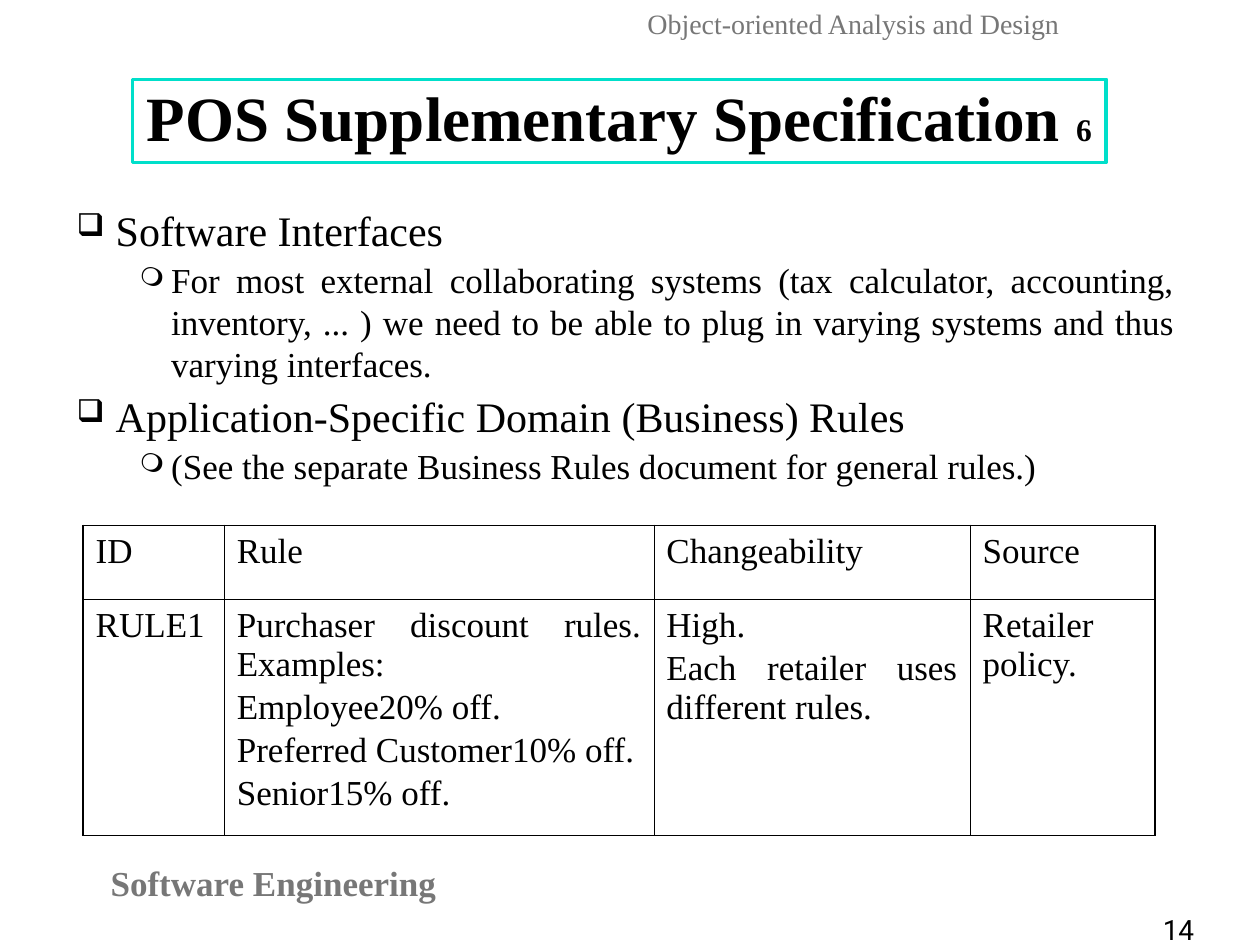
from lxml.etree import SubElement
from pptx import Presentation
from pptx.dml.color import RGBColor
from pptx.enum.text import MSO_ANCHOR, MSO_AUTO_SIZE, PP_ALIGN
from pptx.oxml.ns import qn
from pptx.util import Inches, Pt

BLACK = RGBColor(0x00, 0x00, 0x00)
WHITE = RGBColor(0xFF, 0xFF, 0xFF)
GRAY = RGBColor(0x77, 0x77, 0x77)
TEAL = RGBColor(0x00, 0xDF, 0xCA)
SERIF = "Times New Roman"

OUTER_LINE, INNER_LINE = Pt(1.08), Pt(0.45)

# (level, text)
OUTLINE = [
    (0, "Software Interfaces"),
    (1, "For most external collaborating systems (tax calculator, accounting, "
        "inventory, ... ) we need to be able to plug in varying systems and thus "
        "varying interfaces."),
    (0, "Application-Specific Domain (Business) Rules"),
    (1, "(See the separate Business Rules document for general rules.)"),
]
# level: (bullet, left margin, hanging indent, font size, space before)
LEVEL_STYLES = {
    0: ("❑", Inches(0.31), Inches(0.31), 24, 3),
    1: ("❍", Inches(0.75), Inches(0.25), 20, 2.5),
}

COLUMN_WIDTHS = [1.12, 3.41, 2.51, 1.47]
ROW_HEIGHTS = [0.59, 1.87]
RULES = [
    ["ID", "Rule", "Changeability", "Source"],
    ["RULE1",
     "Purchaser discount rules. Examples:\nEmployee20% off.\n"
     "Preferred Customer10% off.\nSenior15% off.",
     "High.\nEach retailer uses different rules.",
     "Retailer policy."],
]


def set_font(font, size, color=BLACK, bold=False, name=SERIF):
    font.name = name
    font.size = Pt(size)
    font.bold = bold
    font.color.rgb = color


def add_label(slide, text, left, top, width, height, size, color,
              bold=False, name=SERIF, alignment=PP_ALIGN.LEFT):
    box = slide.shapes.add_textbox(Inches(left), Inches(top), Inches(width), Inches(height))
    box.text_frame.word_wrap = False
    paragraph = box.text_frame.paragraphs[0]
    paragraph.text = text
    paragraph.alignment = alignment
    set_font(paragraph.font, size, color, bold, name)


def add_title(slide, text, part_number):
    title = slide.shapes.title
    title.left, title.top = Inches(1.05), Inches(0.63)
    title.width, title.height = Inches(7.73), Inches(0.66)
    title.fill.solid()
    title.fill.fore_color.rgb = WHITE
    title.line.color.rgb = TEAL
    title.line.width = Pt(2)
    frame = title.text_frame
    frame.auto_size = MSO_AUTO_SIZE.NONE
    frame.vertical_anchor = MSO_ANCHOR.MIDDLE
    paragraph = frame.paragraphs[0]
    paragraph.alignment = PP_ALIGN.CENTER
    paragraph.line_spacing = 0.9
    for run_text, size in ((text + " ", 36), (part_number, 18)):
        run = paragraph.add_run()
        run.text = run_text
        set_font(run.font, size, bold=True)


def add_bullet(paragraph, character, margin, hanging):
    properties = paragraph._p.get_or_add_pPr()
    properties.set("marL", str(margin))
    properties.set("indent", str(-hanging))
    color = SubElement(properties, qn("a:buClr"))
    SubElement(color, qn("a:srgbClr"), val=str(BLACK))
    SubElement(properties, qn("a:buSzPct"), val="75000")
    SubElement(properties, qn("a:buChar"), char=character)


def add_outline(slide):
    box = slide.shapes.add_textbox(Inches(0.51), Inches(1.57), Inches(8.91), Inches(2.41))
    frame = box.text_frame
    frame.word_wrap = True
    for index, (level, text) in enumerate(OUTLINE):
        paragraph = frame.add_paragraph() if index else frame.paragraphs[0]
        character, margin, hanging, size, space = LEVEL_STYLES[level]
        paragraph.text = text
        paragraph.level = level
        paragraph.alignment = PP_ALIGN.JUSTIFY
        if index:
            paragraph.space_before = Pt(space)
        add_bullet(paragraph, character, margin, hanging)
        set_font(paragraph.font, size)


def set_borders(cell, widths):
    """Draw black borders; widths are in the order left, right, top, bottom."""
    properties = cell._tc.get_or_add_tcPr()
    for position, (side, width) in enumerate(zip("LRTB", widths)):
        line = SubElement(properties, qn(f"a:ln{side}"), w=str(width))
        properties.insert(position, line)
        fill = SubElement(line, qn("a:solidFill"))
        SubElement(fill, qn("a:srgbClr"), val=str(BLACK))


def fill_cell(cell, text):
    cell.fill.background()
    cell.margin_left = cell.margin_right = Inches(0.1)
    cell.margin_top = cell.margin_bottom = Inches(0.05)
    cell.text = text
    for index, paragraph in enumerate(cell.text_frame.paragraphs):
        paragraph.alignment = PP_ALIGN.JUSTIFY
        if index:
            paragraph.space_before = Pt(2.5)
        set_font(paragraph.font, 20)


def add_rules_table(slide):
    row_count, column_count = len(RULES), len(COLUMN_WIDTHS)
    table = slide.shapes.add_table(
        row_count, column_count, Inches(0.66), Inches(4.17),
        Inches(sum(COLUMN_WIDTHS)), Inches(sum(ROW_HEIGHTS))).table
    table.first_row = table.horz_banding = False
    for column, width in zip(table.columns, COLUMN_WIDTHS):
        column.width = Inches(width)
    for row, height in zip(table.rows, ROW_HEIGHTS):
        row.height = Inches(height)
    for r, texts in enumerate(RULES):
        for c, text in enumerate(texts):
            cell = table.cell(r, c)
            fill_cell(cell, text)
            on_edge = (c == 0, c == column_count - 1, r == 0, r == row_count - 1)
            set_borders(cell, [OUTER_LINE if edge else INNER_LINE for edge in on_edge])


def main():
    presentation = Presentation()
    presentation.slide_width, presentation.slide_height = Inches(10), Inches(7.5)
    slide = presentation.slides.add_slide(presentation.slide_layouts[5])
    add_label(slide, "Software Engineering", 0.57, 6.79, 3.2, 0.43, 20, GRAY,
              bold=True, alignment=PP_ALIGN.CENTER)
    add_label(slide, "14", 9.13, 7.19, 1.29, 0.4, 16, BLACK, name="Roboto")
    add_label(slide, "Object-oriented Analysis and Design", 5.04, 0, 3.48, 0.36, 16, GRAY)
    add_title(slide, "POS Supplementary Specification", "6")
    add_outline(slide)
    add_rules_table(slide)
    presentation.save("out.pptx")


if __name__ == "__main__":
    main()
